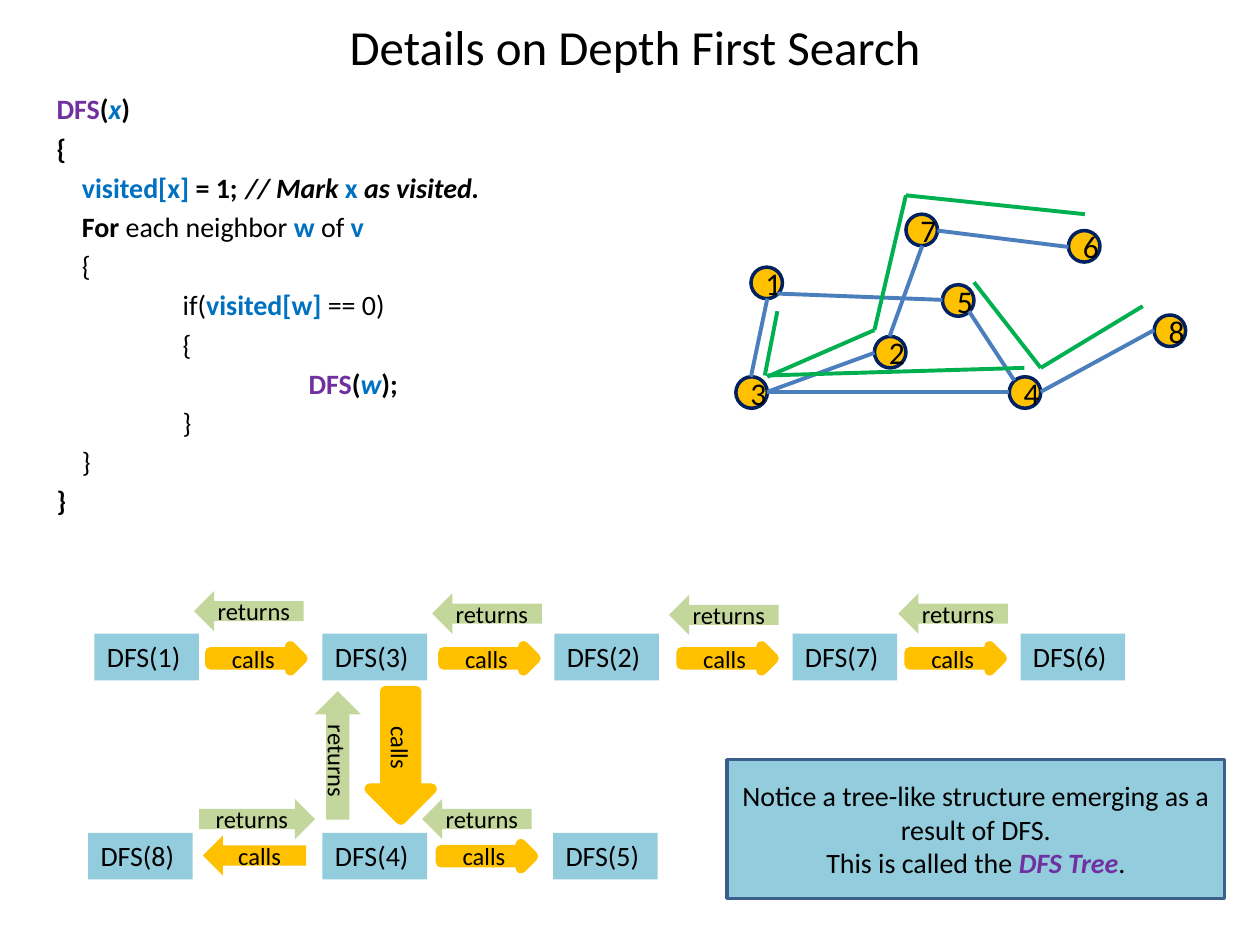
import itertools
from dataclasses import dataclass

import pptx
import pptx.dml.color
import pptx.enum.shapes
import pptx.enum.text
import pptx.util
from lxml import etree
from pptx.oxml.ns import qn

Inches = pptx.util.Inches
SHAPES = pptx.enum.shapes.MSO_SHAPE
ALIGN = pptx.enum.text.PP_ALIGN
ANCHOR = pptx.enum.text.MSO_ANCHOR


@dataclass(frozen=True)
class Theme:
    font: str = "Calibri"
    text: str = "000000"
    function: str = "7030A0"
    variable: str = "0070C0"
    call: str = "FFC000"
    returns: str = "C3D69B"
    box: str = "93CDDD"
    box_line: str = "3A5F8C"
    node_line: str = "002060"
    edge: str = "4B7EBC"
    walk: str = "00B050"
    title_size: int = 28
    node_size: int = 18
    body_size: int = 16
    arrow_size: int = 14


THEME = Theme()

# Run styles: colour, bold, italic
STYLES = {
    "plain": (THEME.text, False, False),
    "bold": (THEME.text, True, False),
    "comment": (THEME.text, True, True),
    "function": (THEME.function, True, False),
    "variable": (THEME.variable, True, False),
    "argument": (THEME.variable, True, True),
    "term": (THEME.function, True, True),
}

# Each code line: first-line indent in inches, then its runs
CODE = [
    (0, [("DFS", "function"), ("(", "bold"), ("x", "argument"), (")", "bold")]),
    (0, [("{", "bold")]),
    (0.2, [("visited[x]", "variable"), (" = 1;\t", "bold"), ("// Mark ", "comment"),
           ("x", "variable"), (" as visited.", "comment")]),
    (0.2, [("For ", "bold"), ("each neighbor ", "plain"), ("w ", "variable"),
           ("of ", "plain"), ("v", "variable")]),
    (0.2, [("{", "plain")]),
    (1, [("if(", "plain"), ("visited[w]", "variable"), (" == 0)", "plain")]),
    (1, [("{", "plain")]),
    (2, [("DFS", "function"), ("(", "bold"), ("w", "argument"), (");", "bold")]),
    (1, [("}", "plain")]),
    (0.2, [("}", "plain")]),
    (0, [("}", "bold")]),
]

# Graph coordinates are inches from the corner of the graph's box
NODE_DIAMETER = 0.25
NODES = {"1": (0.16, 0.62), "2": (1.14, 1.17), "3": (0.04, 1.49), "4": (2.21, 1.49),
         "5": (1.68, 0.76), "6": (2.68, 0.33), "7": (1.39, 0.2), "8": (3.36, 1)}
EDGES = [
    [(0.37, 0.83), (1.68, 0.88)],
    [(2.21, 1.61), (0.29, 1.61)],
    [(0.29, 0.87), (0.16, 1.49)],
    [(1.14, 1.3), (0.29, 1.61)],
    [(1.89, 0.97), (2.25, 1.52)],
    [(1.52, 0.45), (1.26, 1.17)],
    [(1.64, 0.33), (2.68, 0.46)],
    [(3.36, 1.12), (2.46, 1.61)],
]
WALKS = [
    [(2.81, 0.2), (1.39, 0.05), (1.14, 1.12), (0.29, 1.49)],
    [(1.93, 0.74), (2.46, 1.42), (3.27, 0.93)],
    [(0.29, 1.48), (2.33, 1.42)],
    [(0.37, 0.97), (0.27, 1.48)],
]


def rgb(colour):
    return pptx.dml.color.RGBColor.from_string(colour)


def place(shape, left, top, width, height):
    shape.left, shape.top = Inches(left), Inches(top)
    shape.width, shape.height = Inches(width), Inches(height)


def add_runs(paragraph, runs, size):
    for text, style in runs:
        run = paragraph.add_run()
        run.text = text
        font = run.font
        font.name, font.size = THEME.font, pptx.util.Pt(size)
        colour, font.bold, font.italic = STYLES[style]
        font.color.rgb = rgb(colour)


def add_box(slide, kind, box, fill, paragraphs, size, line=None, line_width=2, align=ALIGN.CENTER):
    shape = slide.shapes.add_shape(kind, *map(Inches, box))
    shape.shadow.inherit = False
    shape.fill.solid()
    shape.fill.fore_color.rgb = rgb(fill)
    if line:
        shape.line.color.rgb = rgb(line)
        shape.line.width = pptx.util.Pt(line_width)
    else:
        shape.line.fill.background()
    frame = shape.text_frame
    for index, runs in enumerate(paragraphs):
        paragraph = frame.add_paragraph() if index else frame.paragraphs[0]
        paragraph.alignment = align
        add_runs(paragraph, runs, size)
    return shape


def add_path(slide, left, top, points, colour):
    for (x1, y1), (x2, y2) in itertools.pairwise(points):
        connector = slide.shapes.add_connector(
            pptx.enum.shapes.MSO_CONNECTOR.STRAIGHT,
            Inches(left + x1), Inches(top + y1), Inches(left + x2), Inches(top + y2))
        connector.line.color.rgb = rgb(colour)
        connector.line.width = pptx.util.Pt(2.25)
        etree.SubElement(connector._element.spPr, qn("a:effectLst"))


def build_title(slide, box):
    title = slide.shapes.title
    place(title, *box)
    title.text_frame.vertical_anchor = ANCHOR.MIDDLE
    add_runs(title.text_frame.paragraphs[0],
             [("Details on Depth First Search", "plain")], THEME.title_size)


def build_code(slide, box):
    body = slide.placeholders[1]
    place(body, *box)
    frame = body.text_frame
    frame.auto_size = pptx.enum.text.MSO_AUTO_SIZE.NONE
    for index, (indent, runs) in enumerate(CODE):
        paragraph = frame.add_paragraph() if index else frame.paragraphs[0]
        properties = paragraph._p.get_or_add_pPr()
        properties.set("marL", "0")
        properties.set("indent", str(Inches(indent)))
        etree.SubElement(properties, qn("a:buNone"))
        add_runs(paragraph, runs, THEME.body_size)


def build_graph(slide, left, top):
    for label, (x, y) in NODES.items():
        add_box(slide, SHAPES.OVAL, (left + x, top + y, NODE_DIAMETER, NODE_DIAMETER),
                THEME.call, [[(label, "plain")]], THEME.node_size, THEME.node_line)
    for points in EDGES:
        add_path(slide, left, top, points, THEME.edge)
    for points in WALKS:
        add_path(slide, left, top, points, THEME.walk)


def build_call_tree(slide, left, top):
    def call_box(number, x, y):
        shape = add_box(slide, SHAPES.RECTANGLE, (left + x, top + y, 0.83, 0.37), THEME.box,
                        [[(f"DFS({number})", "plain")]], THEME.body_size, align=ALIGN.LEFT)
        shape.text_frame.vertical_anchor = ANCHOR.TOP

    def arrow(kind, label, x, y, width, height, line=None, rotation=0):
        fill = THEME.call if label == "calls" else THEME.returns
        shape = add_box(slide, kind, (left + x, top + y, width, height), fill,
                        [[(label, "plain")]], THEME.arrow_size, line, 6)
        shape.rotation = rotation

    # Upper row: 1 -> 3 -> 2 -> 7 -> 6
    for number, x in zip((1, 3, 2, 7, 6), (0.05, 1.86, 3.7, 5.59, 7.4)):
        call_box(number, x, 0.34)
    for x in (0.97, 2.82, 4.71, 6.52):
        arrow(SHAPES.RIGHT_ARROW, "calls", x, 0.44, 0.73, 0.19, THEME.call)
    for x, y in ((0.84, 0), (2.73, 0.02), (4.61, 0.03), (6.43, 0.02)):
        arrow(SHAPES.LEFT_ARROW, "returns", x, y, 0.87, 0.32)

    # Branch from 3 down to 4
    arrow(SHAPES.RIGHT_ARROW, "calls", 1.97, 1.06, 1.02, 0.49, THEME.call, 90)
    arrow(SHAPES.LEFT_ARROW, "returns", 1.47, 1.12, 1.02, 0.37, rotation=90)

    # Lower row: 8 <- 4 -> 5
    for number, x in zip((8, 4, 5), (0, 1.86, 3.69)):
        call_box(number, x, 1.92)
    arrow(SHAPES.RIGHT_ARROW, "calls", 2.8, 2.01, 0.73, 0.19, THEME.call)
    arrow(SHAPES.LEFT_ARROW, "returns", 2.65, 1.65, 0.87, 0.32)
    arrow(SHAPES.LEFT_ARROW, "calls", 0.91, 1.94, 0.82, 0.32)
    arrow(SHAPES.RIGHT_ARROW, "returns", 0.88, 1.65, 0.92, 0.32)


def build_note(slide, box):
    add_box(slide, SHAPES.RECTANGLE, box, THEME.box, [
        [("Notice a tree-like structure emerging as a result of DFS.", "plain")],
        [("This is called the ", "plain"), ("DFS Tree", "term"), (".", "plain")],
    ], THEME.body_size, THEME.box_line)


def main():
    presentation = pptx.Presentation()
    presentation.slide_width, presentation.slide_height = Inches(10), Inches(7.5)
    slide = presentation.slides.add_slide(presentation.slide_layouts[1])
    build_title(slide, (0.67, -0.03, 8.74, 0.79))
    build_code(slide, (0.35, 0.68, 4.2, 3.62))
    build_graph(slide, 5.8, 1.5)
    build_call_tree(slide, 0.7, 4.69)
    build_note(slide, (5.77, 6.03, 3.95, 1.1))
    presentation.save("out.pptx")


if __name__ == "__main__":
    main()
